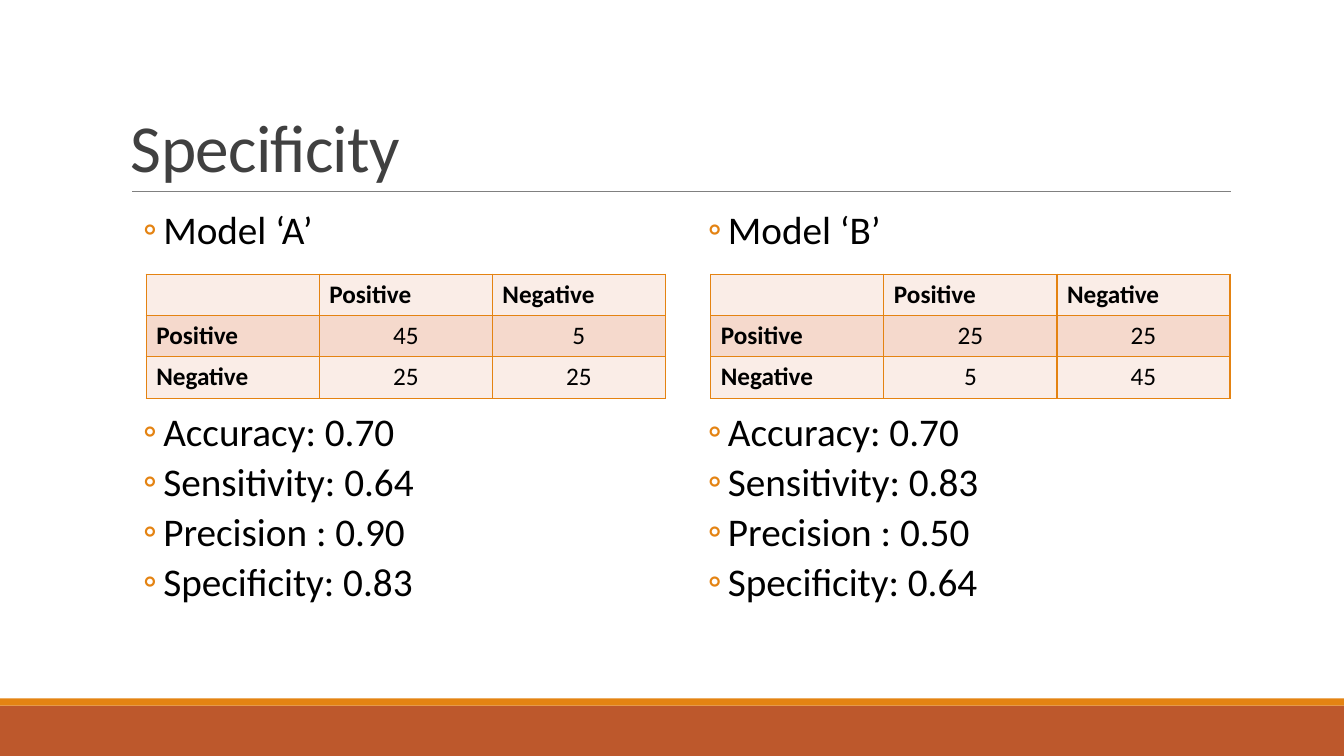
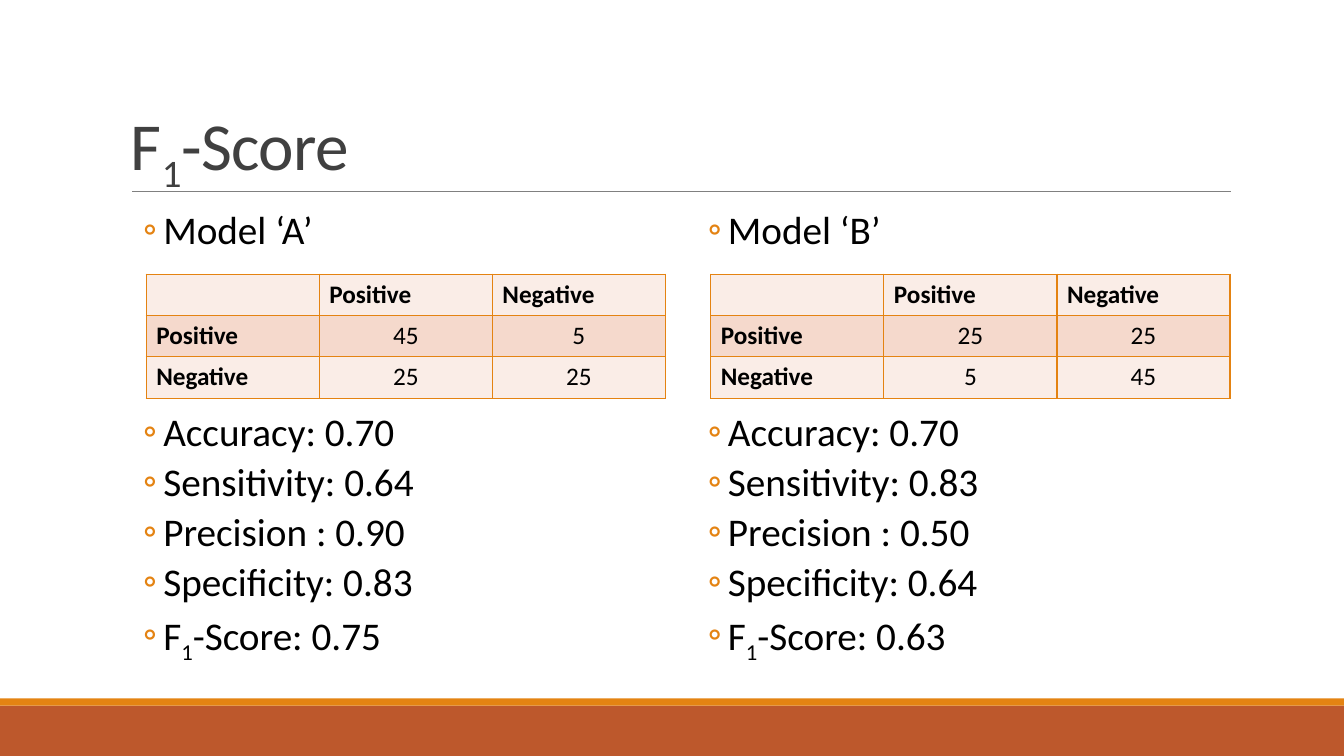
from lxml.etree import SubElement
from pptx import Presentation
from pptx.dml.color import RGBColor
from pptx.enum.shapes import MSO_CONNECTOR, MSO_SHAPE
from pptx.enum.text import MSO_ANCHOR, PP_ALIGN
from pptx.oxml.ns import qn
from pptx.util import Inches, Pt

FONT = "Calibri"
ORANGE = RGBColor(0xE4, 0x83, 0x12)
RUST = RGBColor(0xBD, 0x58, 0x2C)
GRAY = RGBColor(0x80, 0x80, 0x80)
TITLE_GRAY = RGBColor(0x40, 0x40, 0x40)
BLACK = RGBColor(0, 0, 0)
PALE_ROW = RGBColor(0xFA, 0xED, 0xE7)
DARK_ROW = RGBColor(0xF5, 0xD9, 0xCC)

SLIDE_WIDTH, SLIDE_HEIGHT = Inches(13.33), Inches(7.5)
COLUMN_LEFTS = (Inches(1.2), Inches(6.8))
COLUMN_TOP, COLUMN_WIDTH, COLUMN_HEIGHT = Inches(2.04), Inches(5.4), Inches(4.83)
TABLE_INDENT, TABLE_OFFSET = Inches(0.25), Inches(0.68)
ROW_HEIGHT = Inches(0.41)
CLASSES = ("Positive", "Negative")
SUBSCRIPT_ONE = "₁"

MODELS = (
    ("Model ‘A’", ((45, 5), (25, 25)),
     ("Accuracy: 0.70", "Sensitivity: 0.64", "Precision : 0.90", "Specificity: 0.83"),
     "F₁-Score: 0.75"),
    ("Model ‘B’", ((25, 25), (5, 45)),
     ("Accuracy: 0.70", "Sensitivity: 0.83", "Precision : 0.50", "Specificity: 0.64"),
     "F₁-Score: 0.63"),
)


def style_font(font, size, color, bold=False):
    """Set the shared typeface with a size, colour and weight."""
    font.name = FONT
    font.size = Pt(size)
    font.color.rgb = color
    font.bold = bold


def add_text(paragraph, text, spacing=None):
    """Write text as runs, lowering the index of the score."""
    before, index, after = text.partition(SUBSCRIPT_ONE)
    for part, lowered in ((before, False), ("1" if index else "", True), (after, False)):
        if part:
            run = paragraph.add_run()
            run.text = part
            properties = run._r.get_or_add_rPr()
            if lowered:
                properties.set("baseline", "-25000")
            if spacing is not None:
                properties.set("spc", str(spacing))


def add_bullet(paragraph):
    """Give a paragraph a hanging orange ring."""
    properties = paragraph._p.get_or_add_pPr()
    properties.set("marL", str(Inches(0.42)))
    properties.set("indent", str(Inches(-0.2)))
    color = SubElement(properties, qn("a:buClr"))
    SubElement(color, qn("a:srgbClr"), val=str(ORANGE))
    SubElement(properties, qn("a:buFont"), typeface=FONT)
    SubElement(properties, qn("a:buChar"), char="◦")


def add_band(slide, top, height, color):
    """Draw a full-width band."""
    band = slide.shapes.add_shape(MSO_SHAPE.RECTANGLE, 0, top, SLIDE_WIDTH, height)
    band.shadow.inherit = False
    band.fill.solid()
    band.fill.fore_color.rgb = color
    band.line.fill.background()


def add_frame(slide):
    """Draw the footer bands and the rule below the title."""
    add_band(slide, Inches(7), Inches(0.5), RUST)
    add_band(slide, Inches(6.93), Inches(0.07), ORANGE)
    rule = slide.shapes.add_connector(
        MSO_CONNECTOR.STRAIGHT, Inches(1.31), Inches(1.9), Inches(12.21), Inches(1.9))
    rule.line.color.rgb = GRAY
    rule.line.width = Pt(0.5)
    SubElement(rule._element.spPr, qn("a:effectLst"))


def add_title(slide, text):
    """Write the slide title, resting on the rule."""
    box = slide.shapes.add_textbox(Inches(1.2), Inches(0.31), Inches(11), Inches(1.59))
    frame = box.text_frame
    frame.word_wrap = True
    frame.vertical_anchor = MSO_ANCHOR.BOTTOM
    paragraph = frame.paragraphs[0]
    paragraph.line_spacing = 0.85
    style_font(paragraph.font, 48, TITLE_GRAY)
    add_text(paragraph, text, spacing=-50)


def add_bullets(slide, left, top, width, height, heading, metrics):
    """List the model name and its metrics, leaving room for the table."""
    frame = slide.shapes.add_textbox(left, top, width, height).text_frame
    frame.word_wrap = True
    frame.margin_left = frame.margin_right = 0
    for number, text in enumerate((heading, *metrics)):
        paragraph = frame.add_paragraph() if number else frame.paragraphs[0]
        paragraph.line_spacing = 0.9
        paragraph.space_after = Pt(3.6)
        if number:
            paragraph.space_before = Pt(110.5 if number == 1 else 1.8)
        add_bullet(paragraph)
        style_font(paragraph.font, 28, BLACK)
        add_text(paragraph, text)


def style_cell(cell, color):
    """Outline a cell in orange and fill it."""
    properties = cell._tc.get_or_add_tcPr()
    for side in ("a:lnL", "a:lnR", "a:lnT", "a:lnB"):
        line = SubElement(properties, qn(side), w=str(Pt(1)))
        fill = SubElement(line, qn("a:solidFill"))
        SubElement(fill, qn("a:srgbClr"), val=str(ORANGE))
    cell.fill.solid()
    cell.fill.fore_color.rgb = color


def add_matrix(slide, left, top, width, counts):
    """Draw a confusion matrix with class names on both sides."""
    rows = [("", *CLASSES)] + [(name, *values) for name, values in zip(CLASSES, counts)]
    table = slide.shapes.add_table(
        len(rows), len(rows[0]), left, top, width, ROW_HEIGHT * len(rows)).table
    for row_number, values in enumerate(rows):
        for column_number, value in enumerate(values):
            cell = table.cell(row_number, column_number)
            style_cell(cell, DARK_ROW if row_number % 2 else PALE_ROW)
            is_count = row_number > 0 and column_number > 0
            paragraph = cell.text_frame.paragraphs[0]
            paragraph.alignment = PP_ALIGN.CENTER if is_count else PP_ALIGN.LEFT
            style_font(paragraph.font, 18, BLACK, bold=not is_count)
            add_text(paragraph, str(value))


def add_model(slide, left, top, width, height, heading, counts, metrics):
    """Place one model's bullets and its confusion matrix."""
    add_bullets(slide, left, top, width, height, heading, metrics)
    add_matrix(slide, left + TABLE_INDENT, top + TABLE_OFFSET, width - TABLE_INDENT, counts)


def add_comparison(presentation, title, with_score):
    """Add a slide that compares the two models."""
    slide = presentation.slides.add_slide(presentation.slide_layouts[6])
    add_frame(slide)
    add_title(slide, title)
    for left, (heading, counts, metrics, score) in zip(COLUMN_LEFTS, MODELS):
        shown = (*metrics, score) if with_score else metrics
        add_model(slide, left, COLUMN_TOP, COLUMN_WIDTH, COLUMN_HEIGHT, heading, counts, shown)


def main():
    """Build and save the presentation."""
    presentation = Presentation()
    presentation.slide_width = SLIDE_WIDTH
    presentation.slide_height = SLIDE_HEIGHT
    add_comparison(presentation, "Specificity", with_score=False)
    add_comparison(presentation, "F₁-Score", with_score=True)
    presentation.save("out.pptx")


if __name__ == "__main__":
    main()
